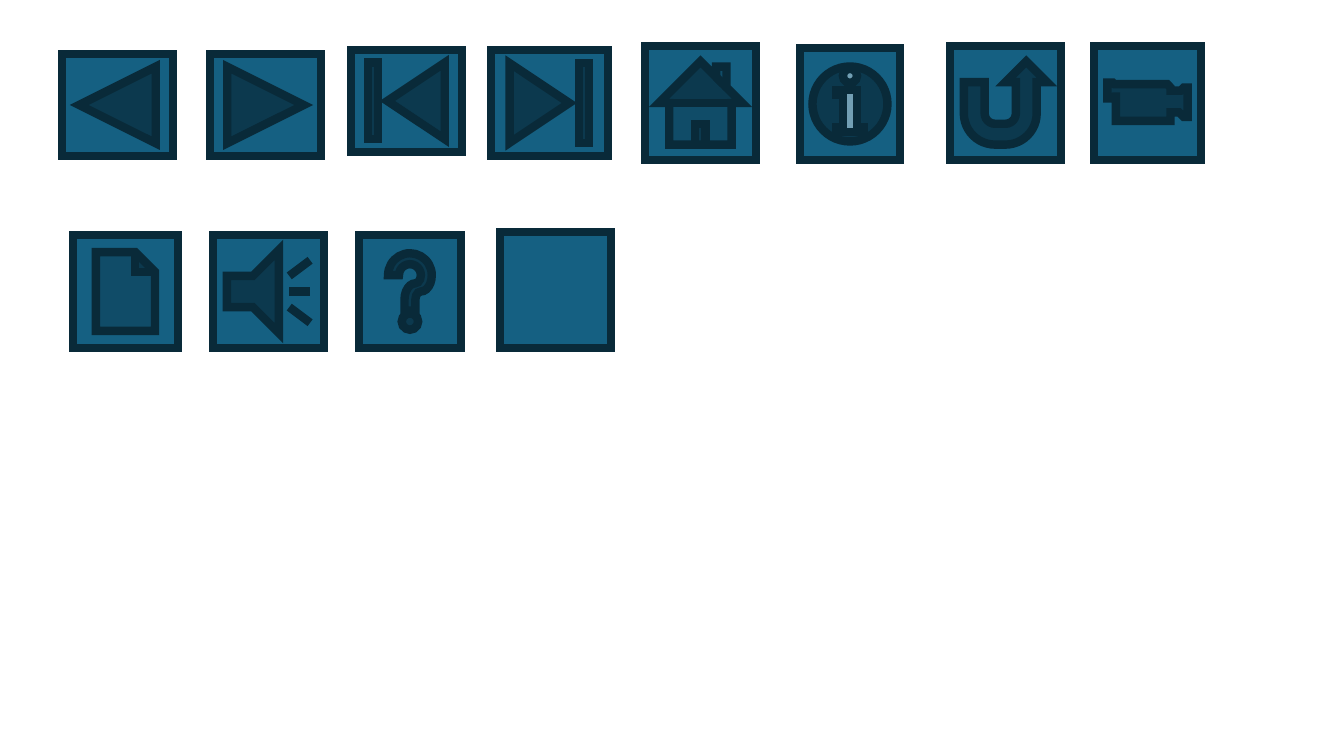
from lxml.etree import SubElement
from pptx import Presentation
from pptx.dml.color import RGBColor
from pptx.enum.shapes import MSO_SHAPE
from pptx.oxml.ns import qn
from pptx.util import Pt

SCALE = 12192000 / 1344
COLORS = {"face": "156082", "edge": "092A39"}

TOP_ROW = [
    (MSO_SHAPE.ACTION_BUTTON_BACK_OR_PREVIOUS, 0, 8, 111, 102),
    (MSO_SHAPE.ACTION_BUTTON_FORWARD_OR_NEXT, 148, 8, 111, 102),
    (MSO_SHAPE.ACTION_BUTTON_BEGINNING, 289, 4, 111, 102),
    (MSO_SHAPE.ACTION_BUTTON_END, 429, 4, 117, 106),
    (MSO_SHAPE.ACTION_BUTTON_HOME, 583, 0, 111, 114),
    (MSO_SHAPE.ACTION_BUTTON_INFORMATION, 738, 2, 100, 112),
    (MSO_SHAPE.ACTION_BUTTON_RETURN, 888, 0, 111, 114),
    (MSO_SHAPE.ACTION_BUTTON_MOVIE, 1032, 0, 107, 114),
]
BOTTOM_ROW = [
    (MSO_SHAPE.ACTION_BUTTON_DOCUMENT, 0, 3, 105, 113),
    (MSO_SHAPE.ACTION_BUTTON_SOUND, 140, 3, 111, 113),
    (MSO_SHAPE.ACTION_BUTTON_HELP, 286, 3, 102, 113),
    (MSO_SHAPE.ACTION_BUTTON_CUSTOM, 427, 0, 111, 116),
]


def px(length):
    return round(length * SCALE)


def add_button(page, kind, left, top, width, height):
    button = page.shapes.add_shape(kind, px(left), px(top), px(width), px(height))
    button.shadow.inherit = False
    button.fill.solid()
    button.fill.fore_color.rgb = RGBColor.from_string(COLORS["face"])
    button.line.width = Pt(6)
    button.line.color.rgb = RGBColor.from_string(COLORS["edge"])
    outline = button.element.spPr.find(qn("a:ln"))
    SubElement(outline, qn("a:miter"), lim="800000")


def add_button_row(page, left, top, buttons):
    for kind, across, down, width, height in buttons:
        add_button(page, kind, left + across, top + down, width, height)


def main():
    deck = Presentation()
    deck.slide_width = px(1344)
    deck.slide_height = px(756)
    page = deck.slides.add_slide(deck.slide_layouts[6])
    add_button_row(page, 62, 46, TOP_ROW)
    add_button_row(page, 73, 232, BOTTOM_ROW)
    deck.save("out.pptx")


if __name__ == "__main__":
    main()
